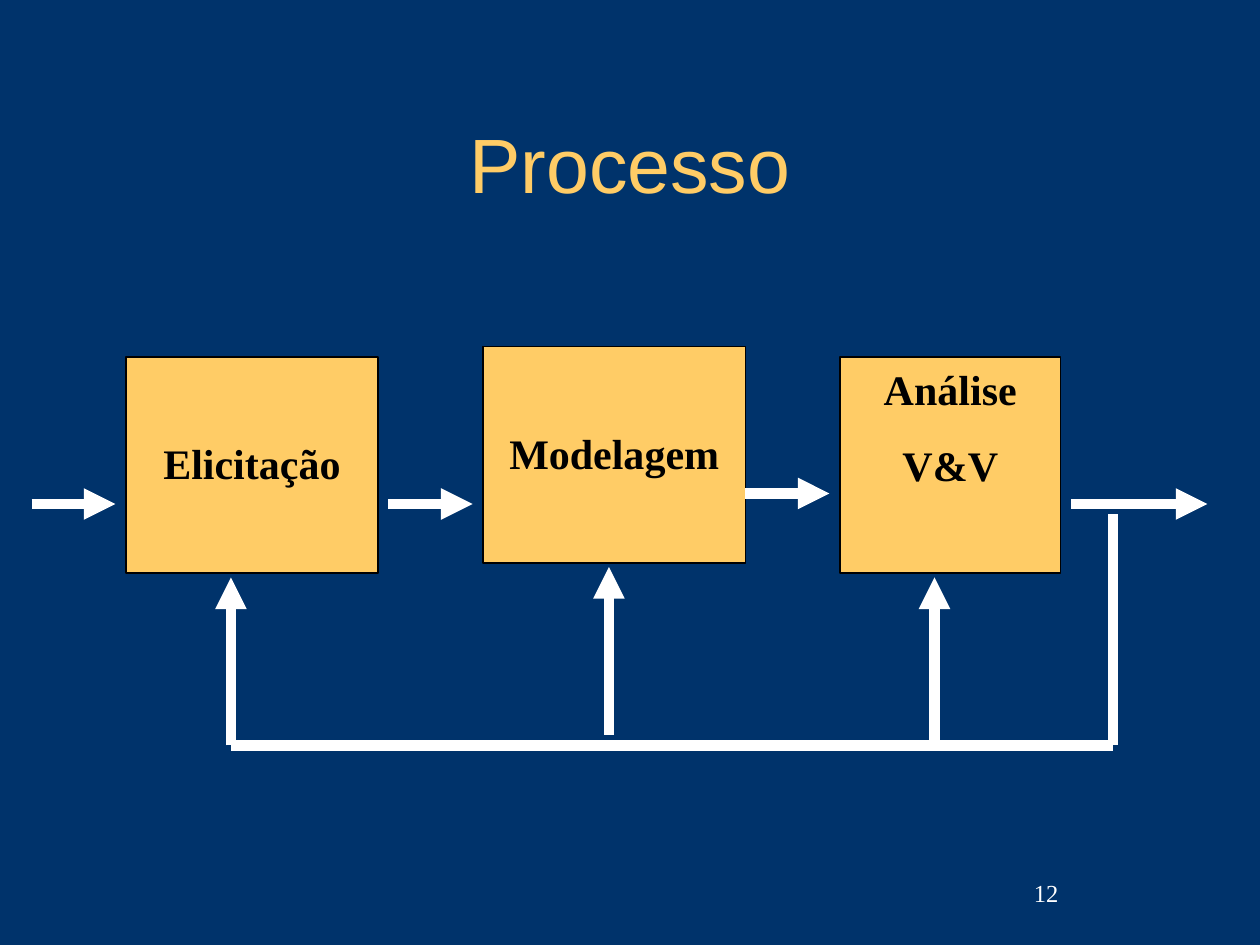
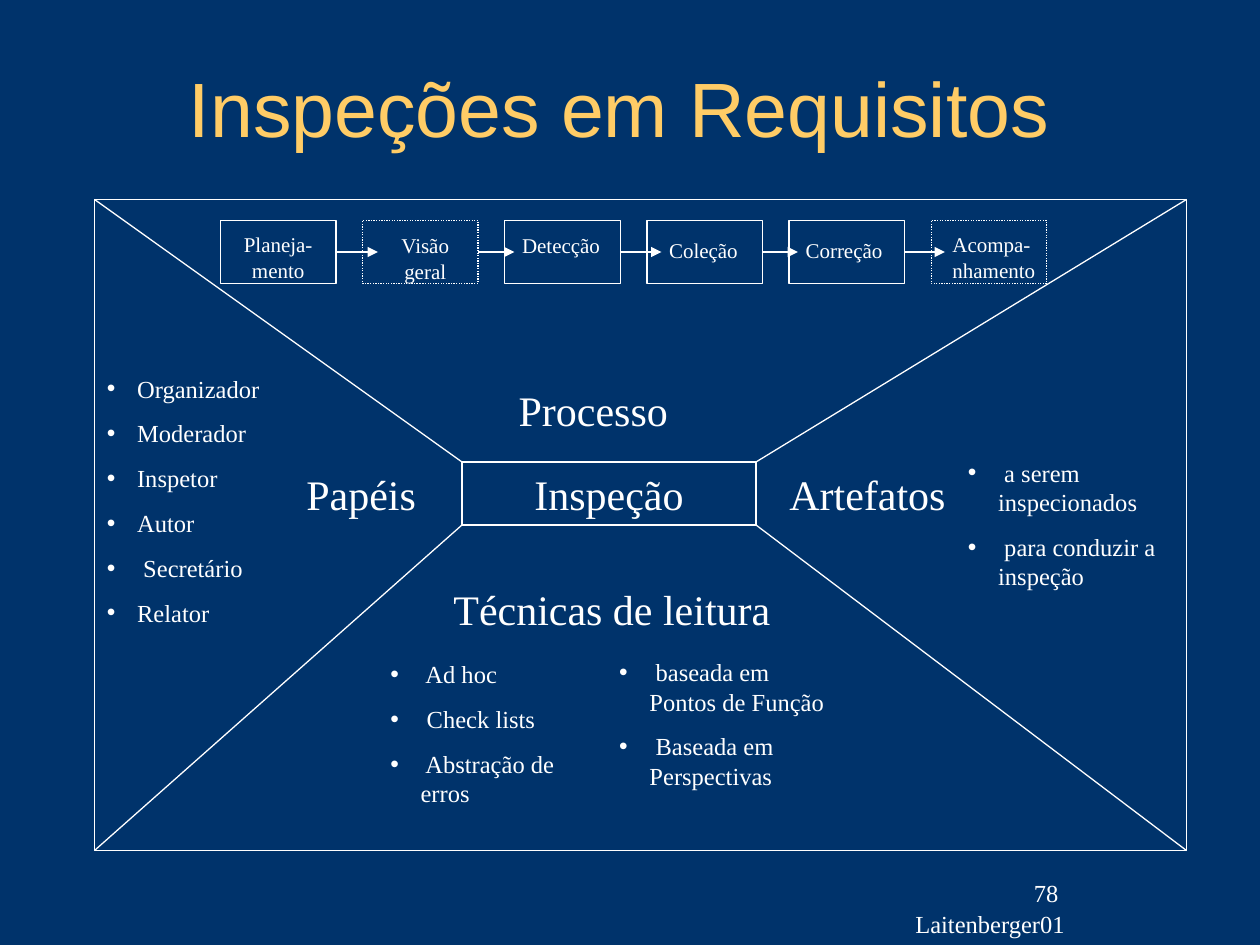
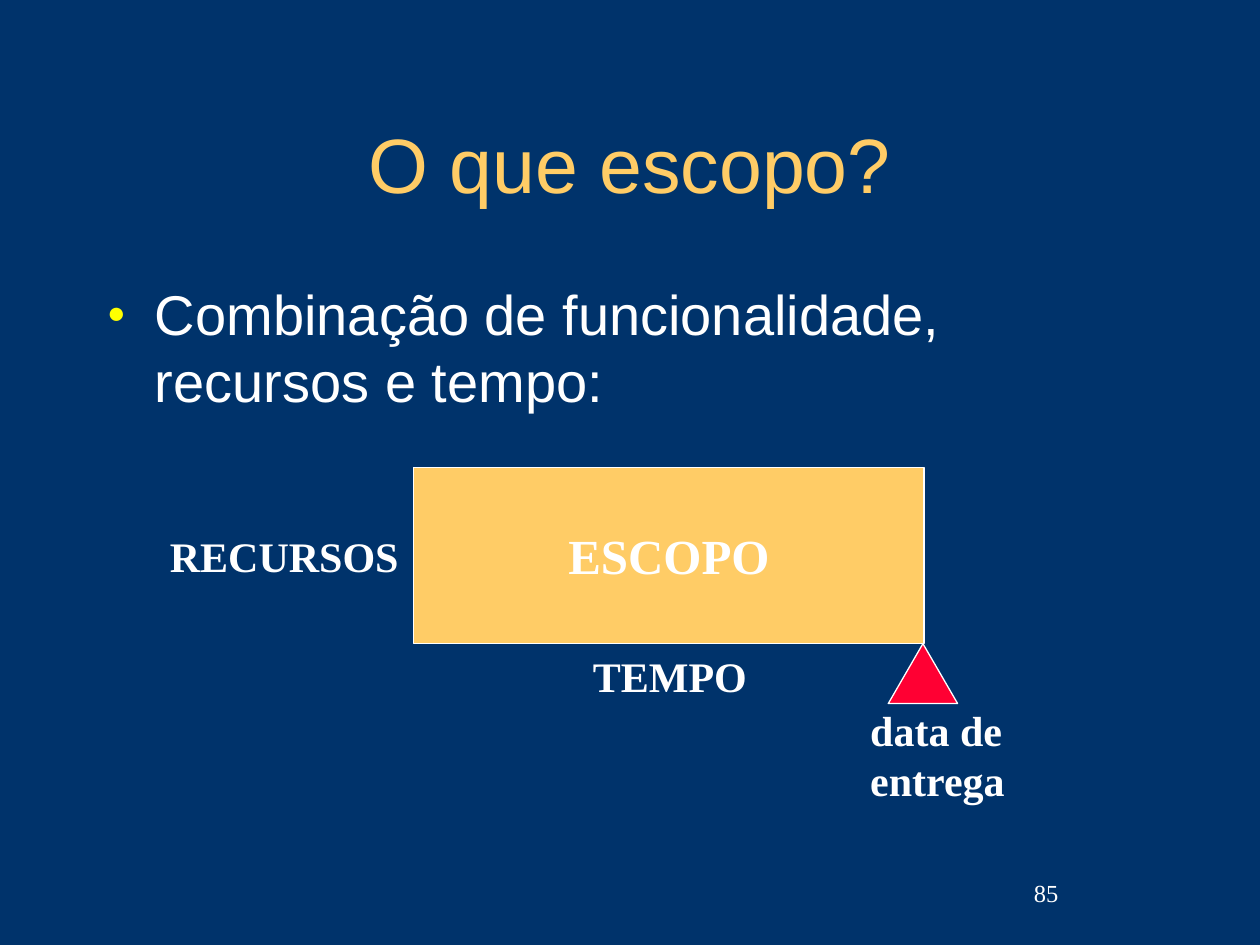
from lxml.etree import SubElement
from pptx import Presentation
from pptx.dml.color import RGBColor
from pptx.enum.dml import MSO_LINE
from pptx.enum.shapes import MSO_CONNECTOR, MSO_SHAPE
from pptx.enum.text import MSO_ANCHOR, MSO_AUTO_SIZE, PP_ALIGN
from pptx.oxml.ns import qn
from pptx.util import Inches, Pt

COLORS = {
    "navy": "00336B",
    "gold": "FFCC66",
    "white": "FFFFFF",
    "black": "000000",
    "red": "FF0033",
    "yellow": "FFFF00",
}
SERIF, SANS = "Times New Roman", "Arial"
CELLS_PER_INCH = 12
TITLE_AREA = (9, 8, 102, 15)
ALIGNMENTS = {"left": PP_ALIGN.LEFT, "center": PP_ALIGN.CENTER, "right": PP_ALIGN.RIGHT}


def cells(count):
    """Turn a number of grid columns or rows into a length."""
    return Inches(count / CELLS_PER_INCH)


def area(left, top, width, height):
    """Turn a grid area into four lengths."""
    return [cells(value) for value in (left, top, width, height)]


def rgb(name):
    """Look up a named colour."""
    return RGBColor.from_string(COLORS[name])


def move(shape, place):
    """Put a shape on a grid area."""
    shape.left, shape.top, shape.width, shape.height = area(*place)


def add_bullet(para, mark, color, share, indent):
    """Give a paragraph a coloured bullet with a hanging indent."""
    props = para._p.get_or_add_pPr()
    props.set("marL", str(Inches(indent)))
    props.set("indent", str(-Inches(indent)))
    fill = SubElement(SubElement(props, qn("a:buClr")), qn("a:srgbClr"))
    fill.set("val", COLORS[color])
    SubElement(props, qn("a:buSzPct")).set("val", str(share * 1000))
    SubElement(props, qn("a:buFont")).set("typeface", SANS)
    SubElement(props, qn("a:buChar")).set("char", mark)


def write(shape, text, size=24, font=SERIF, color="white", bold=False, align="left",
          before=0, anchor=MSO_ANCHOR.TOP, wrap=True, side=0.1, top=0.05, bullet=None):
    """Write each line of the text as one formatted paragraph."""
    frame = shape.text_frame
    frame.auto_size = MSO_AUTO_SIZE.NONE
    frame.word_wrap = wrap
    frame.vertical_anchor = anchor
    frame.margin_left = frame.margin_right = Inches(side)
    frame.margin_top, frame.margin_bottom = Inches(top), Inches(0.05)
    for index, line in enumerate(text.split("\n")):
        para = frame.add_paragraph() if index else frame.paragraphs[0]
        para.alignment = ALIGNMENTS[align]
        para.space_before = Pt(before)
        if bullet:
            add_bullet(para, **bullet)
        span = para.add_run()
        span.text = line
        span.font.name, span.font.size, span.font.bold = font, Pt(size), bold
        span.font.color.rgb = rgb(color)


def add_label(page, place, text, **style):
    """Add a text box."""
    label = page.shapes.add_textbox(*area(*place))
    write(label, text, **style)
    return label


def add_list(page, place, text):
    """Add a small bulleted list."""
    bullet = {"mark": "•", "color": "white", "share": 100, "indent": 0.24}
    add_label(page, place, text, size=14, before=8.8, bullet=bullet)


def add_box(page, place, fill=None, line="white", weight=0.75, dotted=False,
            kind=MSO_SHAPE.RECTANGLE):
    """Add an outlined shape, filled on request."""
    box = page.shapes.add_shape(kind, *area(*place))
    box.shadow.inherit = False
    if fill:
        box.fill.solid()
        box.fill.fore_color.rgb = rgb(fill)
    else:
        box.fill.background()
    box.line.color.rgb = rgb(line)
    box.line.width = Pt(weight)
    if dotted:
        box.line.dash_style = MSO_LINE.ROUND_DOT
    return box


def add_line(page, start, end, weight=0.75, arrow=False, source=None):
    """Add a white line, with an arrowhead or a source box on request."""
    points = [cells(value) for value in (*start, *end)]
    line = page.shapes.add_connector(MSO_CONNECTOR.STRAIGHT, *points)
    if source is not None:
        line.begin_connect(source, 3)
    line.line.color.rgb = rgb("white")
    line.line.width = Pt(weight)
    props = line.element.spPr
    if arrow:
        SubElement(props.find(qn("a:ln")), qn("a:tailEnd")).set("type", "triangle")
    SubElement(props, qn("a:effectLst"))


def add_page(deck, layout, title, number, title_area=TITLE_AREA):
    """Add a slide with its title and page number."""
    page = deck.slides.add_slide(deck.slide_layouts.get_by_name(layout))
    move(page.shapes.title, title_area)
    write(page.shapes.title, title, size=44, font=SANS, color="gold", align="center",
          anchor=MSO_ANCHOR.MIDDLE)
    add_label(page, (77, 82, 25, 6), number, size=14, align="right",
              anchor=MSO_ANCHOR.MIDDLE)
    return page


def build_process(deck):
    """Draw the three stages and their feedback loop."""
    page = add_page(deck, "Title Only", "Processo", "12")
    stages = [
        ("Elicitação", 12, 34, 24, 0.64),
        ("Modelagem", 46, 33, 25, 0.64),
        ("Análise\nV&V", 80, 34, 21, 0.05),
    ]
    for text, left, top, width, inset in stages:
        box = add_box(page, (left, top, width, 20.6), fill="gold", line="black", weight=1)
        write(box, text, color="black", bold=True, align="center", before=15, top=inset)
    for left, right, row in [(3, 11, 48), (37, 45, 48), (71, 79, 47), (102, 115, 48)]:
        add_line(page, (left, row), (right, row), weight=6, arrow=True)
    add_line(page, (106, 49), (106, 71), weight=6)
    add_line(page, (106, 71), (22, 71), weight=6)
    for column, bottom, top in [(22, 71, 55), (58, 70, 54), (89, 71, 55)]:
        add_line(page, (column, bottom), (column, top), weight=6, arrow=True)


def corners(left, top, width, height):
    """List the corners of a grid area."""
    return [(x, y) for x in (left, left + width) for y in (top, top + height)]


def add_steps(page):
    """Draw the chain of inspection steps."""
    steps = [
        ("Planeja-mento", 21, 21.5, 11, "center", 0.1, False),
        ("Visão geral", 36, 21.6, 9, "center", 0.06, True),
        ("Detecção", 49, 21.6, 9, "left", 0.06, False),
        ("Coleção", 63, 22, 9, "left", 0.06, False),
        ("Correção", 76, 22, 9, "left", 0.06, False),
        ("Acompa-nhamento", 90, 21.5, 11, "left", 0.06, True),
    ]
    previous = None
    for index, (text, left, top, width, align, side, dotted) in enumerate(steps):
        box = add_box(page, (21 + 13.54 * index, 21, 11, 6), dotted=dotted)
        add_label(page, (left, top, width, 6), text, size=12, align=align, side=side,
                  before=7.5)
        if previous is not None:
            add_line(page, (left - 4, 24), (left, 24), arrow=True, source=previous)
        previous = box


def build_inspections(deck):
    """Draw the four sides of an inspection around its core."""
    page = add_page(deck, "Title Only", "Inspeções em Requisitos", "78", (8, 6.2, 102, 8))
    frame, core = (9, 19, 104, 62), (44, 44, 28, 6)
    add_box(page, frame)
    write(add_box(page, core), "Inspeção", align="center")
    for outer, inner in zip(corners(*frame), corners(*core)):
        add_line(page, outer, inner)
    add_label(page, (43, 36, 27, 6), "Processo", align="center")
    add_label(page, (42, 55, 34, 6), "Técnicas de leitura")
    add_label(page, (74, 44, 19, 6), "Artefatos")
    add_label(page, (28, 44, 15, 6), "Papéis")
    add_list(page, (91, 43, 25, 18), " a serem inspecionados\n para conduzir a inspeção")
    add_list(page, (36, 62.2, 23, 12.6), " Ad hoc\n Check lists\n Abstração de erros")
    add_list(page, (57.8, 62, 23, 14),
             " baseada em Pontos de Função\n Baseada em Perspectivas")
    add_list(page, (9, 35, 17, 25.3),
             "Organizador\nModerador\nInspetor\nAutor\n Secretário\nRelator")
    add_steps(page)
    add_label(page, (86, 86, 18, 4), "Laitenberger01", size=14)


def build_scope(deck):
    """Draw scope as the area between resources and time."""
    page = add_page(deck, "Title and Content", "O que escopo?", "85")
    body = page.placeholders[1]
    move(body, (9, 26, 102, 54))
    write(body, "Combinação de funcionalidade, recursos e tempo:", size=32, font=SANS,
          before=8,
          bullet={"mark": "●", "color": "yellow", "share": 55, "indent": 0.38})
    scope = add_box(page, (39.4, 44.5, 48.6, 16.8), fill="gold")
    write(scope, "ESCOPO", size=28, bold=True, align="center", anchor=MSO_ANCHOR.MIDDLE)
    add_box(page, (84.6, 61.3, 6.6, 5.7), fill="red", kind=MSO_SHAPE.ISOSCELES_TRIANGLE)
    for text, place in [
        ("TEMPO", (55.3, 61.4, 17, 6)),
        ("RECURSOS", (15, 49.9, 24.1, 6)),
        ("data de\nentrega", (81.7, 66.5, 16, 10.8)),
    ]:
        add_label(page, place, text, bold=True, wrap=False)


def main():
    """Build and save the deck."""
    deck = Presentation()
    deck.slide_width, deck.slide_height = cells(120), cells(90)
    background = deck.slide_master.background.fill
    background.solid()
    background.fore_color.rgb = rgb("navy")
    build_process(deck)
    build_inspections(deck)
    build_scope(deck)
    deck.save("out.pptx")


if __name__ == "__main__":
    main()
